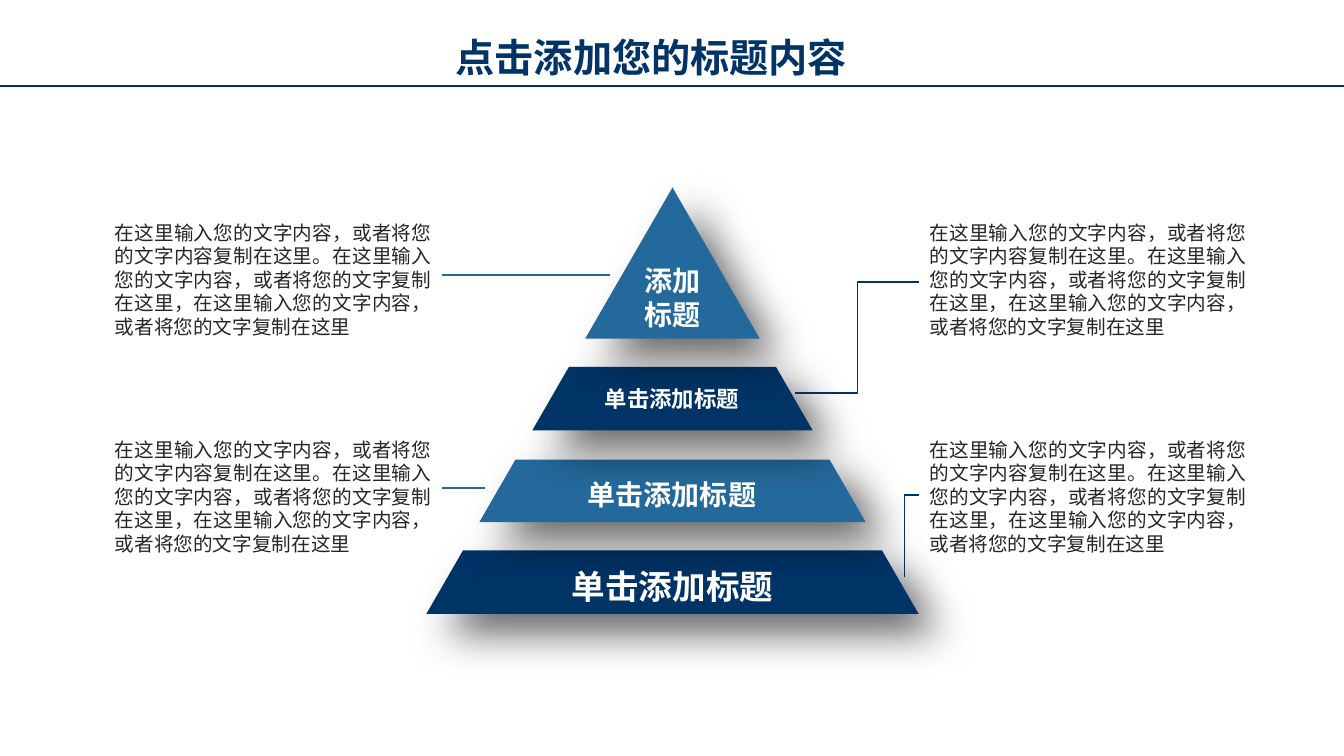
import pptx
import pptx.util
import pptx.dml.color
import pptx.enum.shapes
import pptx.enum.text
import pptx.oxml
import pptx.oxml.ns
import lxml.etree

Inches = pptx.util.Inches
Pt = pptx.util.Pt
Align = pptx.enum.text.PP_ALIGN
Link = pptx.enum.shapes.MSO_CONNECTOR

TITLE = "点击添加您的标题内容"
LABEL = "单击添加标题"
BODY = (
    "在这里输入您的文字内容，或者将您的文字内容复制在这里。"
    "在这里输入您的文字内容，或者将您的文字复制在这里，"
    "在这里输入您的文字内容，或者将您的文字复制在这里"
)

THEME = {
    "font": "Noto Sans CJK SC",
    "navy": "003366",
    "blue": "24699C",
    "white": "FFFFFF",
    "ink": "262626",
    "title": 28,
    "body": 14,
    "pitch": 1.2,
    "drop": 0.1,
}

WIDE, HIGH = 13.33, 7.5
APEX = (6.67, 1.86)
SLOPE = 0.577
TIERS = [
    (5.46, 6.09, "navy"),
    (4.56, 5.18, "blue"),
    (3.64, 4.27, "navy"),
    (1.86, 3.36, "blue"),
]
LABELS = [
    ((4.95, 5.53, 3.44, 0.5), [LABEL], 24),
    ((5.56, 4.66, 2.21, 0.44), [LABEL], 20),
    ((5.56, 3.75, 2.21, 0.37), [LABEL], 16),
    ((6.15, 2.54, 1.04, 0.77), ["添加", "标题"], 20),
]
COLS = [1.04, 9.12]
ROWS = [4.27, 2.12]
NOTE = (3.34, 1.28)
LINES = [
    (Link.STRAIGHT, (0, 0.85), (WIDE, 0.85), "navy", 1.5),
    (Link.STRAIGHT, (4.38, 2.73), (6.05, 2.73), "blue", 1),
    (Link.STRAIGHT, (4.38, 4.84), (4.81, 4.84), "blue", 1),
    (Link.ELBOW, (7.89, 3.9), (9.12, 2.8), "navy", 1),
    (Link.STRAIGHT, (8.97, 5.72), (8.97, 4.91), "navy", 1),
]
STUB = (Link.STRAIGHT, (8.97, 4.91), (9.12, 4.91), "navy", 1)


def tint(name):
    return pptx.dml.color.RGBColor.from_string(THEME[name])


def add_text(slide, area, lines, size, color, align, bold):
    box = slide.shapes.add_textbox(*map(Inches, area))
    frame = box.text_frame
    frame.word_wrap = True
    frame.margin_top = Inches(0.05) + Pt(size * THEME["drop"])
    for i, line in enumerate(lines):
        para = frame.paragraphs[0] if i == 0 else frame.add_paragraph()
        para.alignment = align
        para.line_spacing = Pt(size * THEME["pitch"])
        run = para.add_run()
        run.text = line
        font = run.font
        font.name = THEME["font"]
        font.size = Pt(size)
        font.bold = bold
        font.color.rgb = tint(color)
        east = lxml.etree.SubElement(run._r.rPr, pptx.oxml.ns.qn("a:ea"))
        east.set("typeface", THEME["font"])
    return box


def add_line(slide, kind, start, end, color, width):
    line = slide.shapes.add_connector(kind, *map(Inches, start + end))
    line.line.color.rgb = tint(color)
    line.line.width = Pt(width)
    lxml.etree.SubElement(line._element.spPr, pptx.oxml.ns.qn("a:effectLst"))
    return line


def add_tier(slide, top, base, color):
    mid, peak = APEX
    near, far = ((y - peak) * SLOPE for y in (top, base))
    points = [(mid + near, top), (mid + far, base), (mid - far, base)]
    if near:
        points.append((mid - near, top))
    points = [(Inches(x), Inches(y)) for x, y in points]
    form = slide.shapes.build_freeform(*points[0])
    form.add_line_segments(points[1:], close=True)
    tier = form.convert_to_shape()
    tier.fill.solid()
    tier.fill.fore_color.rgb = tint(color)
    tier.line.fill.background()
    tier.shadow.inherit = False
    glow = pptx.oxml.parse_xml(
        f'<a:outerShdw {pptx.oxml.ns.nsdecls("a")} blurRad="{Pt(30)}" '
        f'dist="{Pt(20)}" dir="2700000" algn="tl" rotWithShape="0">'
        '<a:srgbClr val="000000"><a:alpha val="60000"/></a:srgbClr>'
        "</a:outerShdw>"
    )
    tier._element.spPr.find(pptx.oxml.ns.qn("a:effectLst")).append(glow)


def main():
    deck = pptx.Presentation()
    deck.slide_width, deck.slide_height = Inches(WIDE), Inches(HIGH)
    slide = deck.slides.add_slide(deck.slide_layouts[6])
    add_text(slide, (4.42, 0.24, 4.5, 0.57), [TITLE], THEME["title"],
             "navy", Align.LEFT, True)
    for tier in TIERS:
        add_tier(slide, *tier)
    for area, lines, size in LABELS:
        add_text(slide, area, lines, size, "white", Align.CENTER, True)
    notes = {}
    for left in COLS:
        for top in ROWS:
            notes[left, top] = add_text(
                slide, (left, top) + NOTE, [BODY], THEME["body"],
                "ink", Align.JUSTIFY, False)
    for line in LINES:
        add_line(slide, *line)
    stub = add_line(slide, *STUB)
    stub.end_connect(notes[COLS[1], ROWS[0]], 1)
    deck.save("out.pptx")


if __name__ == "__main__":
    main()
